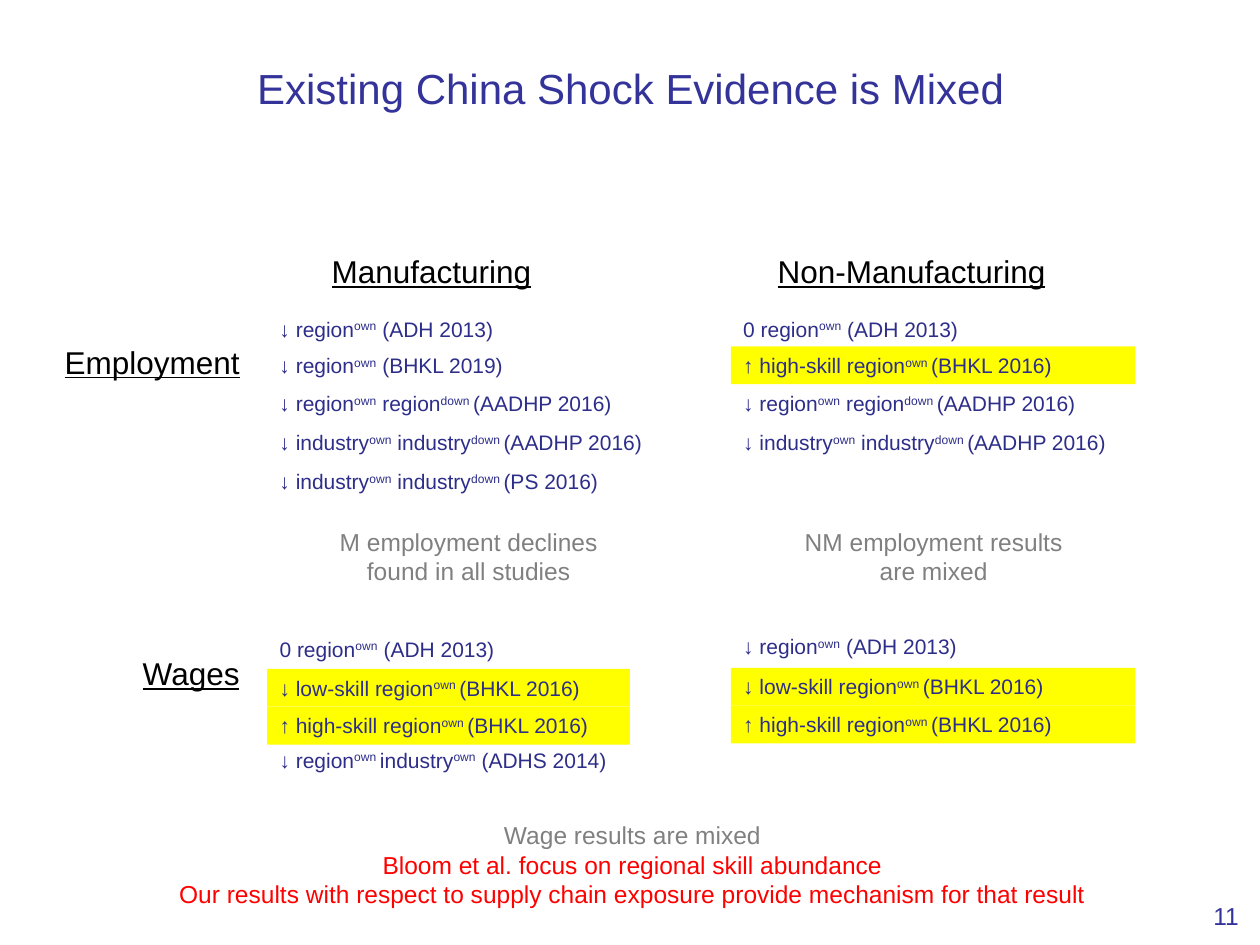
from dataclasses import dataclass

from pptx import Presentation
from pptx.dml.color import RGBColor
from pptx.enum.text import MSO_ANCHOR, PP_ALIGN
from pptx.util import Inches, Pt

TITLE_BLUE = RGBColor(0x33, 0x33, 0x99)
STUDY_BLUE = RGBColor(0x2D, 0x2D, 0x8A)
BLACK = RGBColor(0, 0, 0)
GRAY = RGBColor(0x80, 0x80, 0x80)
RED = RGBColor(0xFF, 0, 0)
YELLOW = RGBColor(0xFF, 0xFF, 0)
ROW_HEIGHT = 0.3


@dataclass
class Style:
    size: int
    color: RGBColor
    align: PP_ALIGN = PP_ALIGN.CENTER
    underline: bool = False


@dataclass
class Study:
    top: float
    text: str
    highlighted: bool = False


@dataclass
class StudyGroup:
    left: float
    width: float
    studies: list[Study]


TITLE = Style(24, TITLE_BLUE)
NUMBER = Style(14, TITLE_BLUE, PP_ALIGN.RIGHT)
COLUMN_HEADING = Style(18, BLACK, underline=True)
ROW_HEADING = Style(18, BLACK, PP_ALIGN.RIGHT, underline=True)
STUDY = Style(12, STUDY_BLUE, PP_ALIGN.LEFT)
SUMMARY = Style(14, GRAY)
CONCLUSION = Style(14, RED)

LOW_SKILL = "↓ low-skill region^own ^(BHKL 2016)"
HIGH_SKILL = "↑ high-skill region^own ^(BHKL 2016)"
REGION_DECLINE = "↓ region^own^ (ADH 2013)"
REGION_ZERO = "0 region^own^ (ADH 2013)"
REGION_SUPPLY = "↓ region^own^ region^down ^(AADHP 2016)"
INDUSTRY_SUPPLY = "↓ industry^own^ industry^down ^(AADHP 2016)"

GROUPS = [
    StudyGroup(2.12, 3.47, [
        Study(2.46, REGION_DECLINE),
        Study(2.75, "↓ region^own^ (BHKL 2019)"),
        Study(3.05, REGION_SUPPLY),
        Study(3.36, INDUSTRY_SUPPLY),
        Study(3.67, "↓ industry^own^ industry^down ^(PS 2016)"),
    ]),
    StudyGroup(5.8, 3.21, [
        Study(2.46, REGION_ZERO),
        Study(2.75, HIGH_SKILL, True),
        Study(3.05, REGION_SUPPLY),
        Study(3.36, INDUSTRY_SUPPLY),
    ]),
    StudyGroup(2.12, 2.88, [
        Study(5.0, REGION_ZERO),
        Study(5.31, LOW_SKILL, True),
        Study(5.61, HIGH_SKILL, True),
        Study(5.88, "↓ region^own ^industry^own^ (ADHS 2014)"),
    ]),
    StudyGroup(5.8, 3.21, [
        Study(4.98, REGION_DECLINE),
        Study(5.3, LOW_SKILL, True),
        Study(5.6, HIGH_SKILL, True),
    ]),
]


def add_runs(para, text: str, style: Style) -> None:
    """Write text into a paragraph; parts between carets are superscript."""
    para.alignment = style.align
    for index, part in enumerate(text.split("^")):
        if not part:
            continue
        span = para.add_run()
        span.text = part
        font = span.font
        font.name = "Arial"
        font.size = Pt(style.size)
        font.color.rgb = style.color
        if style.underline:
            font.underline = True
        if index % 2:
            span._r.get_or_add_rPr().set("baseline", "30000")


def add_text(page, left: float, top: float, width: float, height: float,
             *lines: tuple[str, Style]):
    box = page.shapes.add_textbox(Inches(left), Inches(top), Inches(width), Inches(height))
    frame = box.text_frame
    frame.word_wrap = True
    for index, (text, style) in enumerate(lines):
        para = frame.add_paragraph() if index else frame.paragraphs[0]
        add_runs(para, text, style)
    return box


def add_group(page, group: StudyGroup) -> None:
    for study in group.studies:
        box = add_text(page, group.left, study.top, group.width, ROW_HEIGHT,
                       (study.text, STUDY))
        if study.highlighted:
            box.fill.solid()
            box.fill.fore_color.rgb = YELLOW


def main() -> None:
    deck = Presentation()
    deck.slide_width, deck.slide_height = Inches(10), Inches(7.5)
    page = deck.slides.add_slide(deck.slide_layouts[6])

    title = add_text(page, 0.39, 0.3, 9.23, 0.79,
                     ("Existing China Shock Evidence is Mixed", TITLE))
    title.text_frame.vertical_anchor = MSO_ANCHOR.MIDDLE

    for left, heading in ((1.59, "Manufacturing"), (5.4, "Non-Manufacturing")):
        add_text(page, left, 1.95, 3.67, 0.4, (heading, COLUMN_HEADING))
    for top, heading in ((2.67, "Employment"), (5.14, "Wages")):
        add_text(page, -0.16, top, 2.16, 0.4, (heading, ROW_HEADING))

    for group in GROUPS:
        add_group(page, group)

    for left, summary in ((2.46, "M employment declines found in all studies"),
                          (6.15, "NM employment results are mixed")):
        add_text(page, left, 4.13, 2.52, 0.57, (summary, SUMMARY))

    add_text(
        page, 1.23, 6.46, 7.58, 1.04,
        ("Wage results are mixed", SUMMARY),
        ("Bloom et al. focus on regional skill abundance", CONCLUSION),
        ("Our results with respect to supply chain exposure provide "
         "mechanism for that result", CONCLUSION),
    )
    add_text(page, 9.39, 7.1, 0.54, 0.3, ("11", NUMBER))
    deck.save("out.pptx")


if __name__ == "__main__":
    main()
